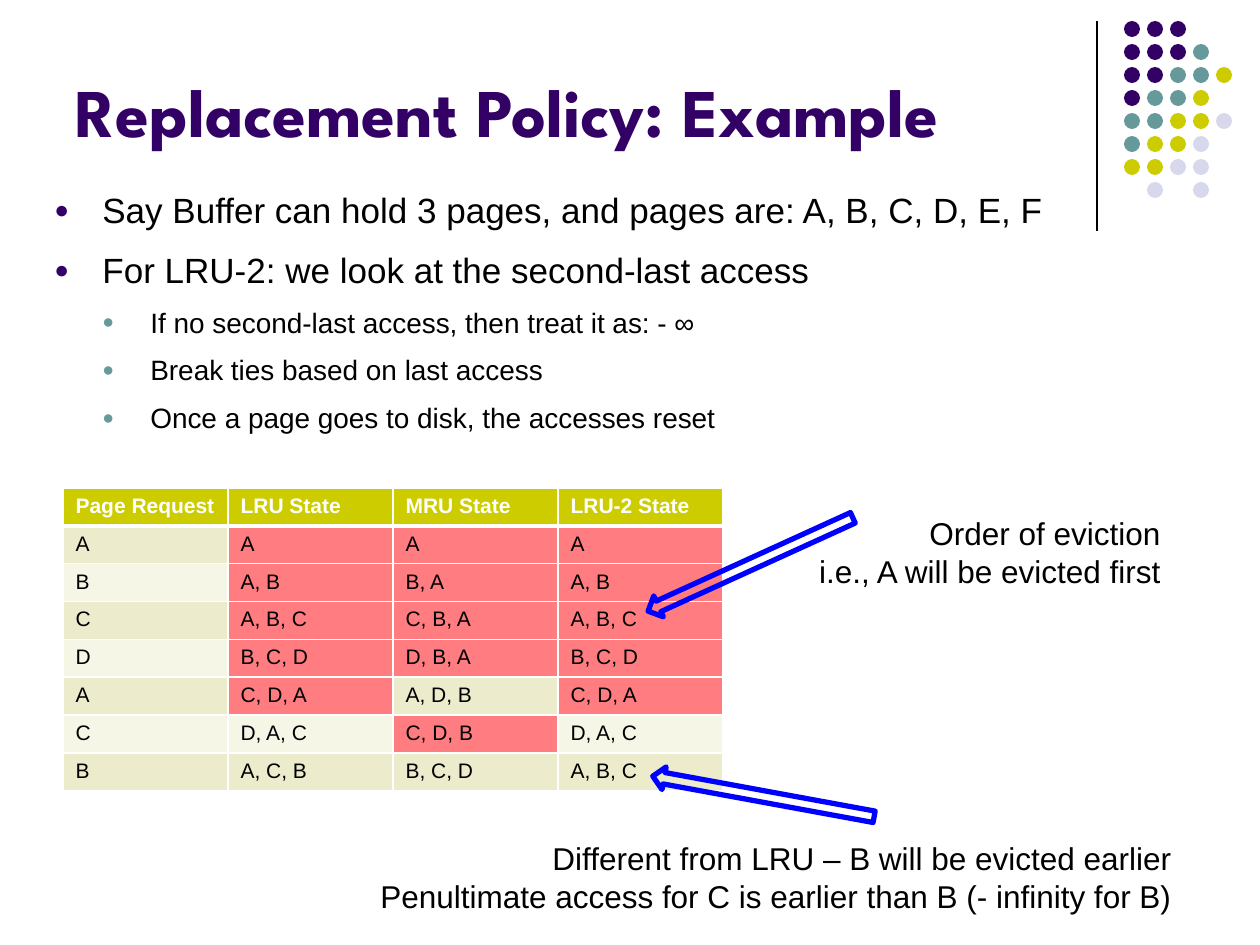
"""Build the slide on buffer replacement policies."""
import pptx
import pptx.dml.color
import pptx.enum.shapes
import pptx.enum.text
import pptx.oxml
import pptx.oxml.ns
import pptx.util

EMU_PER_PX = 914400 / 126
RGBColor = pptx.dml.color.RGBColor
PURPLE = RGBColor(0x33, 0x00, 0x66)
TEAL = RGBColor(0x66, 0x99, 0x99)
OLIVE = RGBColor(0xCC, 0xCC, 0x00)
LILAC = RGBColor(0xD8, 0xD8, 0xEC)
BLACK = RGBColor(0x00, 0x00, 0x00)
WHITE = RGBColor(0xFF, 0xFF, 0xFF)
BLUE = RGBColor(0x00, 0x00, 0xFF)
RED = RGBColor(0xFF, 0x7C, 0x80)
BANDS = (RGBColor(0xF6, 0xF6, 0xE7), RGBColor(0xEC, 0xEC, 0xCC))

DOT_ROWS = ("PPP", "PPPT", "PPTTO", "PTTO", "TTOOL", "TOOL", "OOLL", " L L")
DOT_COLORS = {"P": PURPLE, "T": TEAL, "O": OLIVE, "L": LILAC}
POINTS = (
    (0, "Say Buffer can hold 3 pages, and pages are: A, B, C, D, E, F"),
    (0, "For LRU-2: we look at the second-last access"),
    (1, "If no second-last access, then treat it as: - ∞"),
    (1, "Break ties based on last access"),
    (1, "Once a page goes to disk, the accesses reset"),
)
LEVELS = ((20, 5.5, PURPLE), (16, 4.4, TEAL))
STATES = (
    ("Page Request", "LRU State", "MRU State", "LRU-2 State"),
    ("A", "A", "A", "A"),
    ("B", "A, B", "B, A", "A, B"),
    ("C", "A, B, C", "C, B, A", "A, B, C"),
    ("D", "B, C, D", "D, B, A", "B, C, D"),
    ("A", "C, D, A", "A, D, B", "C, D, A"),
    ("C", "D, A, C", "C, D, B", "D, A, C"),
    ("B", "A, C, B", "B, C, D", "A, B, C"),
)
MISS_ROWS = ((), (1, 2, 3, 4, 5), (1, 2, 3, 4, 6), (1, 2, 3, 4, 5))


def px(*lengths):
    """Turn pixel lengths into EMU."""
    return [pptx.util.Emu(round(length * EMU_PER_PX)) for length in lengths]


def add_xml(parent, xml):
    """Append an element of the drawing namespace to a parent."""
    head, mark, tail = xml.partition(">")
    name, space, attributes = head.rstrip("/").partition(" ")
    slash = "/" if head.endswith("/") else ""
    declaration = pptx.oxml.ns.nsdecls("a")
    parent.append(pptx.oxml.parse_xml(
        f"{name} {declaration}{space}{attributes}{slash}{mark}{tail}"))


def style_font(font, size, color, name="Arial", bold=False):
    """Set the look of a font."""
    font.name, font.size, font.bold = name, pptx.util.Pt(size), bold
    font.color.rgb = color


def add_dots(slide):
    """Add the rule and the grid of dots in the top right corner."""
    rule = slide.shapes.add_connector(
        pptx.enum.shapes.MSO_CONNECTOR.STRAIGHT, *px(1097, 21, 1097, 231))
    rule.line.color.rgb = BLACK
    rule.line.width = pptx.util.Pt(0.75)
    add_xml(rule.element.spPr, "<a:effectLst/>")
    dots = slide.shapes.add_group_shape()
    for row, marks in enumerate(DOT_ROWS):
        for column, mark in enumerate(marks):
            if mark in DOT_COLORS:
                dot = dots.shapes.add_shape(
                    pptx.enum.shapes.MSO_SHAPE.OVAL,
                    *px(1124 + 23 * column, 21 + 23 * row, 16, 16))
                dot.shadow.inherit = False
                dot.fill.solid()
                dot.fill.fore_color.rgb = DOT_COLORS[mark]
                dot.line.fill.background()


def set_title(slide, text):
    """Fill and place the title."""
    title = slide.shapes.title
    title.left, title.top, title.width, title.height = px(63, 16, 1040, 141)
    frame = title.text_frame
    frame.text = text
    frame.vertical_anchor = pptx.enum.text.MSO_ANCHOR.BOTTOM
    frame.auto_size = pptx.enum.text.MSO_AUTO_SIZE.NONE
    frame.paragraphs[0].alignment = pptx.enum.text.PP_ALIGN.LEFT
    style_font(frame.paragraphs[0].runs[0].font, 39, PURPLE,
               "League Spartan", True)


def add_points(slide):
    """Add the bulleted list."""
    frame = slide.shapes.add_textbox(*px(42, 174, 1134, 270)).text_frame
    frame.word_wrap = True
    indent = px(48)[0]
    for index, (level, text) in enumerate(POINTS):
        size, gap, color = LEVELS[level]
        point = frame.add_paragraph() if index else frame.paragraphs[0]
        point.text = text
        point.level = level
        point.line_spacing = 1.2
        point.space_before = pptx.util.Pt(gap if index else 0)
        properties = point._p.get_or_add_pPr()
        properties.set("marL", str(indent * (level + 1)))
        properties.set("indent", str(-indent))
        for xml in (f'<a:buClr><a:srgbClr val="{color}"/></a:buClr>',
                    '<a:buSzPct val="70000"/>',
                    '<a:buFont typeface="Arial"/>',
                    '<a:buChar char="●"/>'):
            add_xml(properties, xml)
        style_font(point.runs[0].font, size, BLACK)


def add_borders(cell, header, below_header):
    """Draw white borders, thick between the header and the body."""
    for side in "LRTB":
        thick = (header and side == "B") or (below_header and side == "T")
        width = pptx.util.Pt(3 if thick else 1)
        add_xml(cell._tc.get_or_add_tcPr(),
                f'<a:ln{side} w="{width}"><a:solidFill>'
                f'<a:srgbClr val="{WHITE}"/></a:solidFill></a:ln{side}>')


def add_states(slide):
    """Add the table of buffer states, with page misses in red."""
    table = slide.shapes.add_table(
        len(STATES), len(STATES[0]), *px(63, 488, 660, 288)).table
    for row, texts in enumerate(STATES):
        for column, text in enumerate(texts):
            cell = table.cell(row, column)
            cell.text = text
            add_borders(cell, row == 0, row == 1)
            cell.fill.solid()
            if row == 0:
                fill = OLIVE
            else:
                fill = RED if row in MISS_ROWS[column] else BANDS[row % 2]
            cell.fill.fore_color.rgb = fill
            style_font(cell.text_frame.paragraphs[0].runs[0].font, 12,
                       BLACK if row else WHITE, bold=row == 0)


def add_note(slide, box, lines):
    """Add a right-aligned remark."""
    frame = slide.shapes.add_textbox(*px(*box)).text_frame
    frame.text = "\n".join(lines)
    frame.word_wrap = False
    frame.auto_size = pptx.enum.text.MSO_AUTO_SIZE.SHAPE_TO_FIT_TEXT
    for line in frame.paragraphs:
        line.alignment = pptx.enum.text.PP_ALIGN.RIGHT
        style_font(line.runs[0].font, 18, BLACK)


def add_arrow(slide, left, top, rotation):
    """Add a hollow blue arrow that points at a state."""
    arrow = slide.shapes.add_shape(
        pptx.enum.shapes.MSO_SHAPE.LEFT_ARROW, *px(left, top, 225, 23))
    arrow.rotation = rotation
    arrow.shadow.inherit = False
    arrow.fill.background()
    arrow.line.color.rgb = BLUE
    arrow.line.width = pptx.util.Pt(3)


def main():
    """Build and save the slide."""
    deck = pptx.Presentation()
    deck.slide_width, deck.slide_height = px(1260, 945)
    slide = deck.slides.add_slide(deck.slide_layouts[5])
    add_dots(slide)
    set_title(slide, "Replacement Policy: Example")
    add_points(slide)
    add_states(slide)
    add_note(slide, (803, 508, 370, 89),
             ("Order of eviction", "i.e., A will be evicted first"))
    add_arrow(slide, 638, 553, 335.5)
    add_arrow(slide, 651, 785, 10.4)
    add_note(slide, (360, 833, 824, 89),
             ("Different from LRU – B will be evicted earlier",
              "Penultimate access for C is earlier than B (- infinity for B)"))
    deck.save("out.pptx")


if __name__ == "__main__":
    main()
